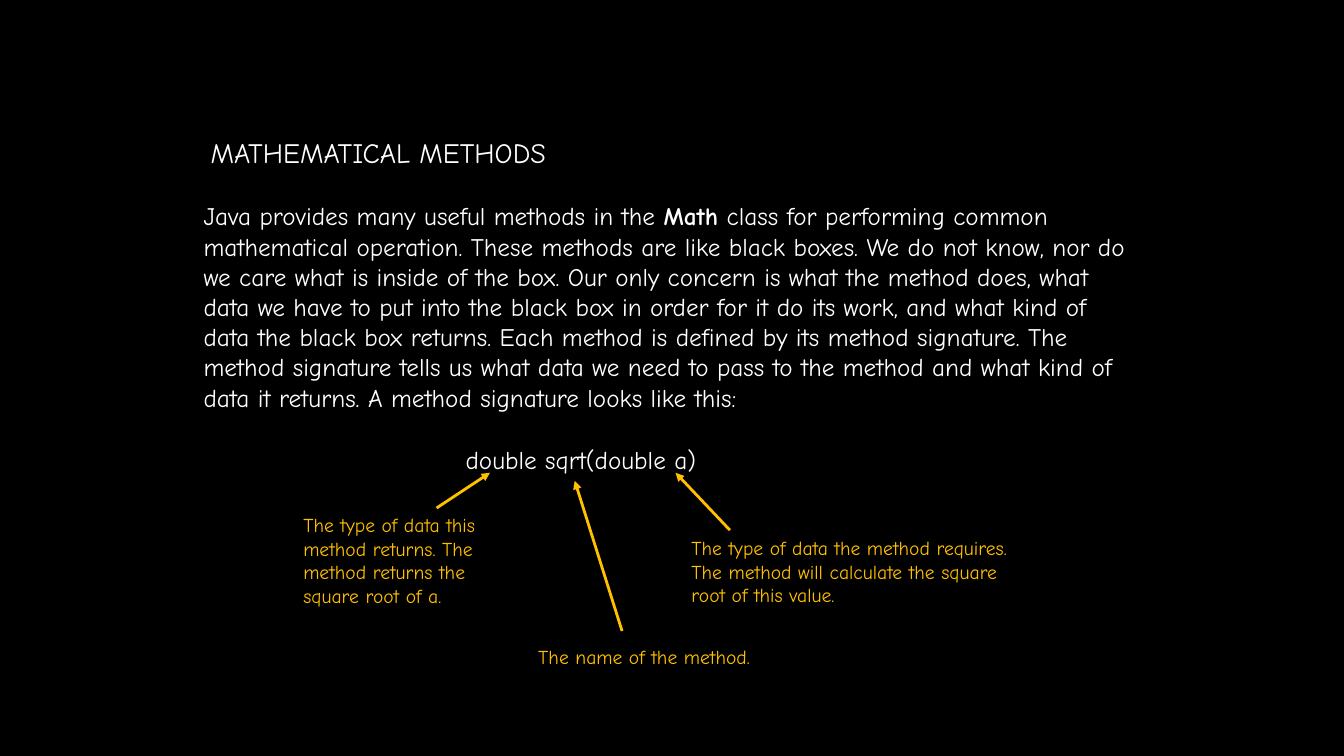
from dataclasses import dataclass

from pptx import Presentation
from pptx import util as u
from pptx.dml.color import RGBColor
from pptx.enum import shapes, text
from pptx.oxml import ns
from lxml import etree


@dataclass(frozen=True)
class Theme:
    font: str = "Comic Neue"
    back: str = "000000"
    ink: str = "FFFFFF"
    accent: str = "FFC000"
    title: int = 20
    body: int = 18
    note: int = 14
    line: int = 2


CELL = 0.1  # grid step in inches, both ways


def grid(*cells):
    return [u.Inches(n * CELL) for n in cells]


def write(para, words, font, size, color, bold=False):
    run = para.add_run()
    run.text = words
    run.font.name = font
    run.font.size = u.Pt(size)
    run.font.bold = bold
    run.font.color.rgb = RGBColor.from_string(color)


class Page:
    def __init__(self, deck, theme):
        self.theme = theme
        self.slide = deck.slides.add_slide(deck.slide_layouts[6])
        fill = self.slide.background.fill
        fill.solid()
        fill.fore_color.rgb = RGBColor.from_string(theme.back)

    def block(self, area, runs, size, after=0):
        """Wrapped text, centred in height; runs are (words, bold) pairs."""
        frame = self.slide.shapes.add_textbox(*grid(*area)).text_frame
        frame.word_wrap = True
        frame.vertical_anchor = text.MSO_ANCHOR.MIDDLE
        para = frame.paragraphs[0]
        para.space_after = u.Pt(after)
        for words, bold in runs:
            write(para, words, self.theme.font, size, self.theme.ink, bold=bold)

    def label(self, area, lines, size, color):
        """Text with fixed lines, one paragraph each."""
        frame = self.slide.shapes.add_textbox(*grid(*area)).text_frame
        frame.word_wrap = False
        frame.auto_size = text.MSO_AUTO_SIZE.SHAPE_TO_FIT_TEXT
        for i, words in enumerate(lines):
            para = frame.add_paragraph() if i else frame.paragraphs[0]
            write(para, words, self.theme.font, size, color)

    def arrow(self, start, end):
        link = self.slide.shapes.add_connector(
            shapes.MSO_CONNECTOR.STRAIGHT, *grid(*start, *end))
        link.line.width = u.Pt(self.theme.line)
        link.line.color.rgb = RGBColor.from_string(self.theme.accent)
        etree.SubElement(link.line._get_or_add_ln(), ns.qn("a:tailEnd"), type="triangle")
        etree.SubElement(link._element.spPr, ns.qn("a:effectLst"))


INTRO = [
    ("Java provides many useful methods in the ", False),
    ("Math", True),
    (" class for performing common mathematical operation. These methods are "
     "like black boxes. We do not know, nor do we care what is inside of the box. "
     "Our only concern is what the method does, what data we have to put into the "
     "black box in order for it do its work, and what kind of data the black box "
     "returns. Each method is defined by its method signature. The method signature "
     "tells us what data we need to pass to the method and what kind of data it "
     "returns. A method signature looks like this:", False),
]

# Each note: text area, lines, arrow start, arrow end
NOTES = [
    ((67.6, 52.7, 37.3, 8.1),
     ["The type of data the method requires.",
      "The method will calculate the square",
      "root of this value."],
     (72.4, 52.6), (67, 46.9)),
    ((52.4, 63.5, 25, 3.4),
     ["The name of the method."],
     (61.7, 62.6), (57, 47.7)),
    ((29.1, 50.4, 21.6, 10.4),
     ["The type of data this",
      "method returns. The",
      "method returns the",
      "square root of a."],
     (43.3, 50.4), (48.6, 46.9)),
]


def main():
    deck = Presentation()
    deck.slide_width, deck.slide_height = u.Inches(13.33), u.Inches(7.5)
    theme = Theme()
    page = Page(deck, theme)

    # Heading and intro
    page.block((19.9, 12.1, 85, 6), [("MATHEMATICAL METHODS", False)], theme.title)
    page.block((19.2, 19.9, 94.2, 21), INTRO, theme.body, after=10)

    # Method signature
    page.label((45.2, 43.6, 27.2, 4), ["double sqrt(double a)"], theme.body, theme.ink)

    # Notes that point at its parts
    for area, lines, start, end in NOTES:
        page.label(area, lines, theme.note, theme.accent)
        page.arrow(start, end)

    deck.save("out.pptx")


if __name__ == "__main__":
    main()
